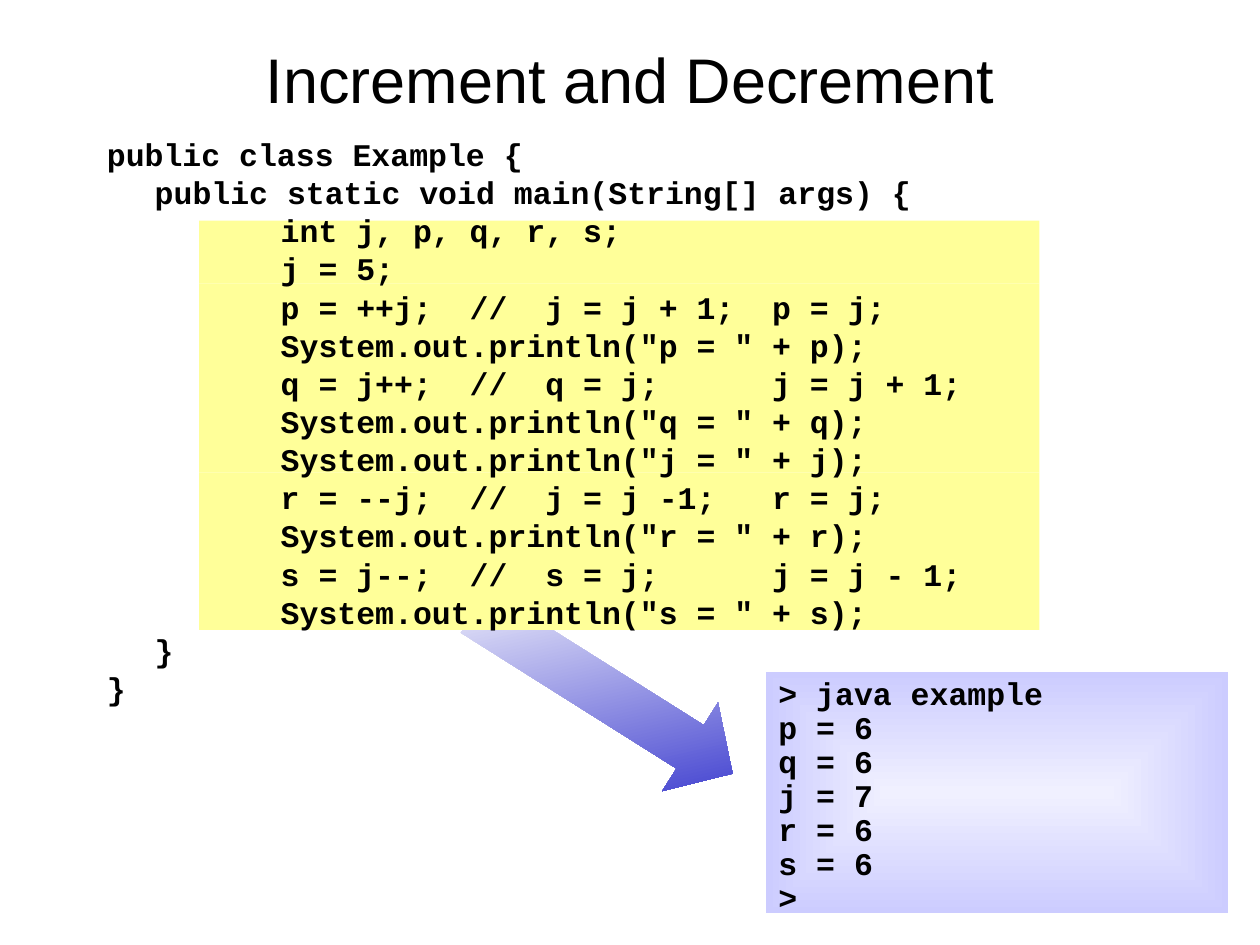
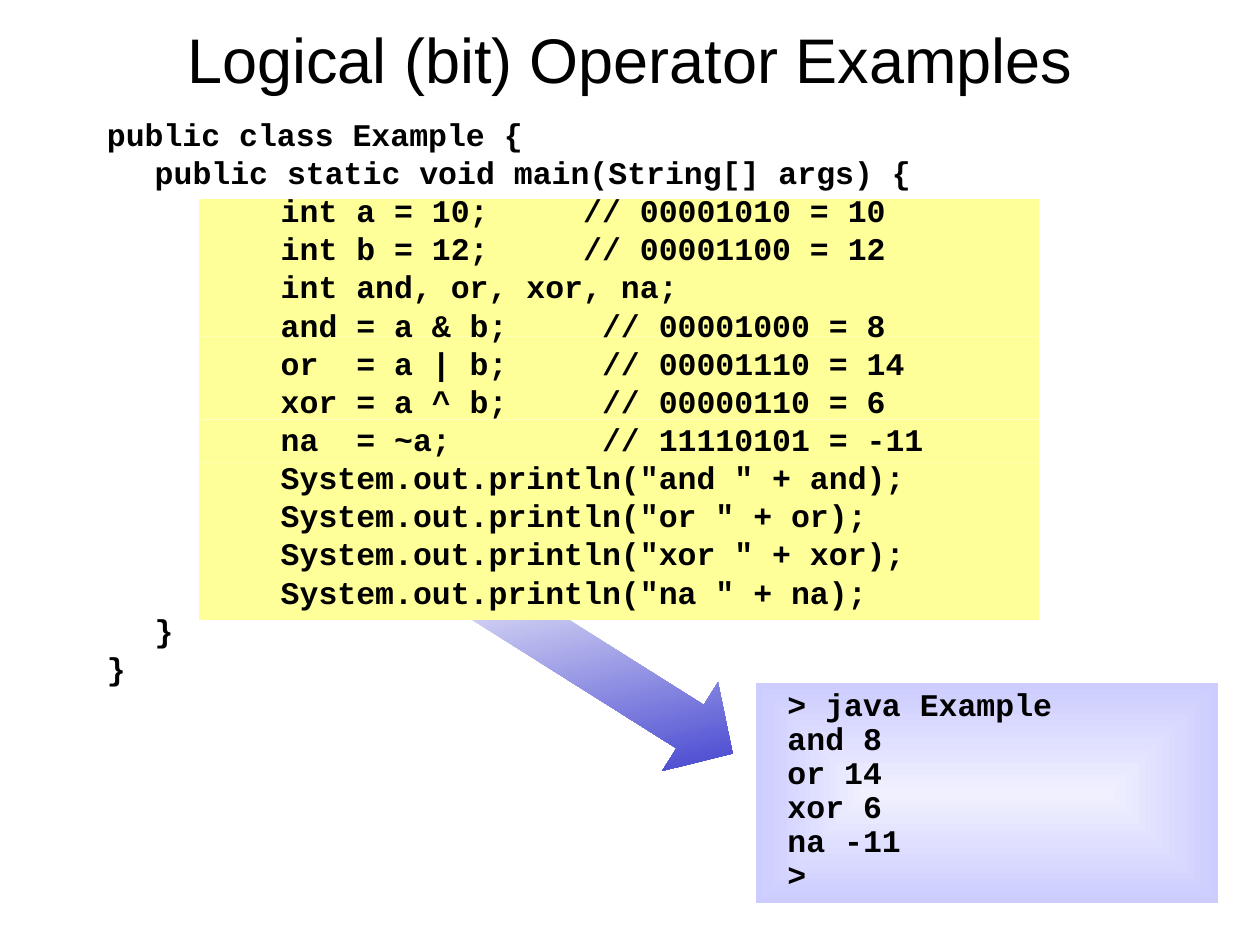
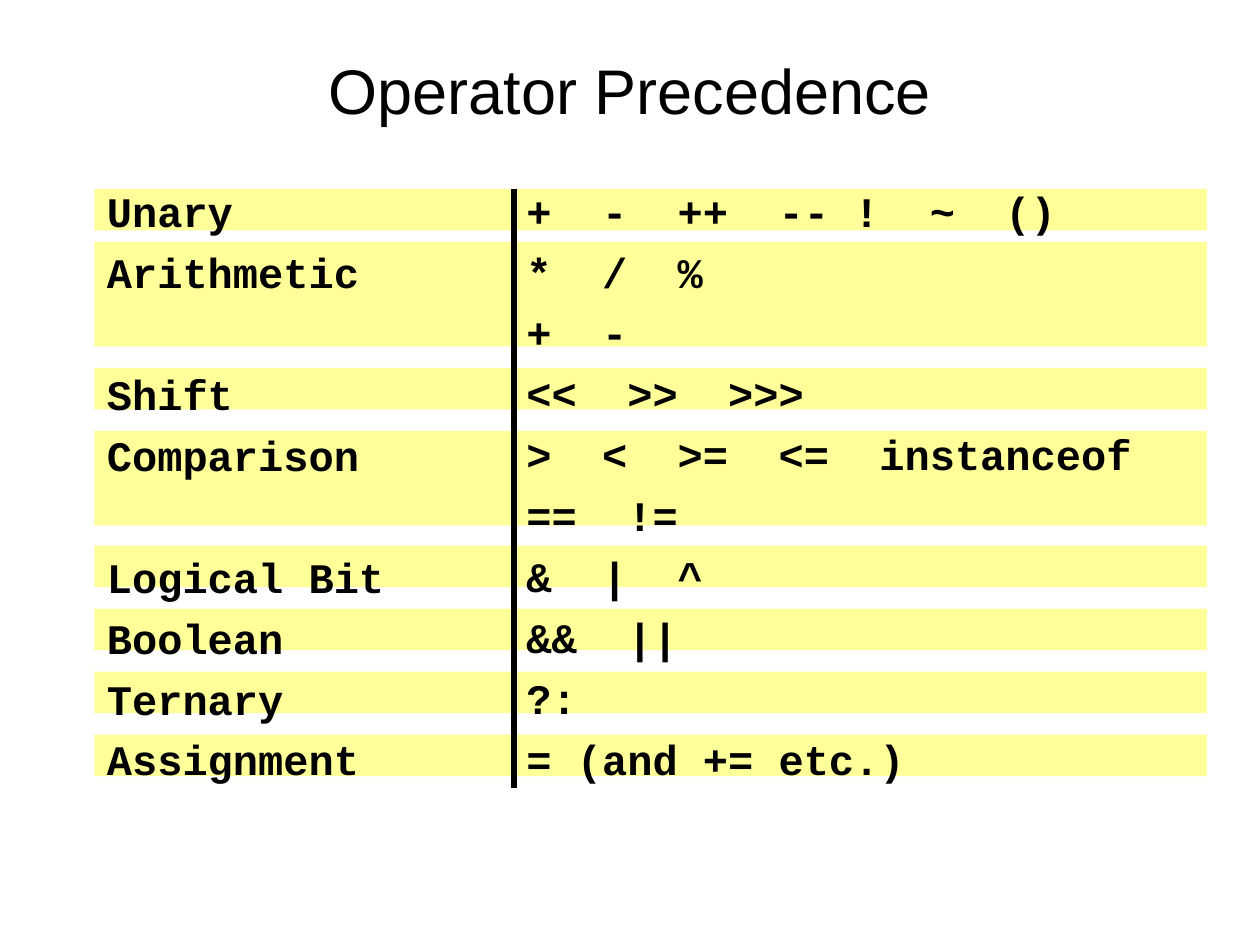
"""Build three slides on Java operators: two code examples and a precedence chart."""
from lxml import etree
from pptx import Presentation
from pptx.dml.color import RGBColor
from pptx.enum.shapes import MSO_CONNECTOR, MSO_SHAPE
from pptx.enum.text import MSO_ANCHOR, PP_ALIGN
from pptx.oxml import parse_xml
from pptx.oxml.ns import nsdecls, qn
from pptx.util import Inches, Pt

RECTANGLE = MSO_SHAPE.RECTANGLE
RIGHT_ARROW = MSO_SHAPE.RIGHT_ARROW
STRAIGHT = MSO_CONNECTOR.STRAIGHT
TOP, MIDDLE = MSO_ANCHOR.TOP, MSO_ANCHOR.MIDDLE
LEFT, CENTER = PP_ALIGN.LEFT, PP_ALIGN.CENTER

BLACK = RGBColor(0x00, 0x00, 0x00)
WHITE = RGBColor(0xFF, 0xFF, 0xFF)
BAND_YELLOW = RGBColor(0xFF, 0xFF, 0x99)
ARROW_BLUE = RGBColor(0x33, 0x33, 0xCC)
CONSOLE_CORE = RGBColor(0xF0, 0xF0, 0xFF)
CONSOLE_EDGE = RGBColor(0xCC, 0xCC, 0xFF)
TITLE_FONT, CODE_FONT = "Arial", "Courier New"
LINE_PITCH = 35
MARGINS = [0, 0.38, 1.38]

CENTRE_PATH = (
    f'<a:path {nsdecls("a")} path="rect">'
    '<a:fillToRect l="50000" t="50000" r="50000" b="50000"/></a:path>'
)


def add_block(slide, preset, box, *colours):
    block = slide.shapes.add_shape(preset, *map(Inches, box))
    block.shadow.inherit = False
    block.line.fill.background()
    if len(colours) == 1:
        block.fill.solid()
        block.fill.fore_color.rgb = colours[0]
    else:
        block.fill.gradient()
        block.fill.gradient_angle = 315
        for stop, colour in zip(block.fill.gradient_stops, colours):
            stop.color.rgb = colour
    return block


def write(frame, lines, size, spacing=1.0, font=CODE_FONT, align=LEFT, anchor=TOP):
    frame.word_wrap = True
    frame.vertical_anchor = anchor
    for number, (text, margin, before) in enumerate(lines):
        paragraph = frame.paragraphs[0] if number == 0 else frame.add_paragraph()
        paragraph.alignment = align
        paragraph.line_spacing = spacing
        paragraph.space_before = Pt(before)
        if margin:
            paragraph._p.get_or_add_pPr().set("marL", str(Inches(margin)))
        run = paragraph.add_run()
        run.text = text
        run.font.name = font
        run.font.size = Pt(size)
        run.font.bold = font == CODE_FONT
        run.font.color.rgb = BLACK


EXAMPLES = [
    {
        "title": "Increment and Decrement",
        "title_top": 0.33,
        "arrow_top": 5.08,
        "band_edges": [1.75, 2, 2.25, 2.92, 3.5, 3.75, 4.42, 5],
        "code_box": (0.75, 1.08, 7.67, 4.67),
        "statements": [
            "int j, p, q, r, s;",
            "j = 5;",
            "p = ++j;  //  j = j + 1;  p = j;",
            'System.out.println("p = " + p);',
            "q = j++;  //  q = j;      j = j + 1;",
            'System.out.println("q = " + q);',
            'System.out.println("j = " + j);',
            "r = --j;  //  j = j -1;   r = j;",
            'System.out.println("r = " + r);',
            "s = j--;  //  s = j;      j = j - 1;",
            'System.out.println("s = " + s);',
        ],
        "console_box": (6.08, 5.33, 3.67, 1.92),
        "console_inset": 0.1,
        "output": ["> java example", "p = 6", "q = 6", "j = 7", "r = 6", "s = 6", ">"],
    },
    {
        "title": "Logical (bit) Operator Examples",
        "title_top": 0.17,
        "arrow_top": 4.92,
        "band_edges": [1.58, 2.42, 2.67, 3, 3.33, 3.67, 4.92],
        "code_box": (0.75, 0.92, 6.83, 4.83),
        "statements": [
            "int a = 10;     // 00001010 = 10",
            "int b = 12;     // 00001100 = 12",
            "int and, or, xor, na;",
            "and = a & b;     // 00001000 = 8",
            "or  = a | b;     // 00001110 = 14",
            "xor = a ^ b;     // 00000110 = 6",
            "na  = ~a;        // 11110101 = -11",
            'System.out.println("and " + and);',
            'System.out.println("or " + or);',
            'System.out.println("xor " + xor);',
            'System.out.println("na " + na);',
        ],
        "console_box": (6, 5.42, 3.67, 1.75),
        "console_inset": 0.25,
        "output": ["> java Example", "and 8", "or 14", "xor 6", "na -11", ">"],
    },
]

PRECEDENCE = [
    ("Unary", ["+  -  ++  -- !  ~  ()"], 1.5, 0.33),
    ("Arithmetic", ["*  /  %", "+  -"], 1.92, 0.83),
    ("Shift", ["<<  >>  >>>"], 2.92, 0.33),
    ("Comparison", [">  <  >=  <=  instanceof", "==  !="], 3.42, 0.75),
    ("Logical Bit", ["&  |  ^"], 4.33, 0.33),
    ("Boolean", ["&&  ||"], 4.83, 0.33),
    ("Ternary", ["?:"], 5.33, 0.33),
    ("Assignment", ["= (and += etc.)"], 5.83, 0.33),
]

deck = Presentation()
deck.slide_width, deck.slide_height = Inches(10), Inches(7.5)
blank = deck.slide_layouts[6]
titles = [(example["title"], example["title_top"]) for example in EXAMPLES]
titles.append(("Operator Precedence", 0.42))
slides = []
for heading, top in titles:
    slide = deck.slides.add_slide(blank)
    title = slide.shapes.add_textbox(Inches(0.75), Inches(top), Inches(8.5), Inches(0.58))
    write(title.text_frame, [(heading, 0, 0)], 36, font=TITLE_FONT, align=CENTER, anchor=MIDDLE)
    slides.append(slide)

for slide, example in zip(slides, EXAMPLES):
    arrow = add_block(slide, RIGHT_ARROW, (3.58, example["arrow_top"], 2.42, 0.83), WHITE, ARROW_BLUE)
    arrow.rotation = 32.2
    arrow.adjustments[0], arrow.adjustments[1] = 0.49, 0.48

    edges = example["band_edges"]
    for top, bottom in zip(edges, edges[1:]):
        add_block(slide, RECTANGLE, (1.58, top, 6.67, bottom - top), BAND_YELLOW)

    program = [(0, "public class Example {"), (1, "public static void main(String[] args) {")]
    program += [(2, statement) for statement in example["statements"]]
    program += [(1, "}"), (0, "}")]
    code = slide.shapes.add_textbox(*map(Inches, example["code_box"]))
    write(code.text_frame, [(text, MARGINS[level], 4.5) for level, text in program], 18, 0.8)

    console = add_block(slide, RECTANGLE, example["console_box"], CONSOLE_CORE, CONSOLE_EDGE)
    gradient = console._element.spPr.find(qn("a:gradFill"))
    gradient.replace(gradient.find(qn("a:lin")), parse_xml(CENTRE_PATH))
    console.text_frame.margin_left = Inches(example["console_inset"])
    write(console.text_frame, [(text, 0, 0) for text in example["output"]], 18, 0.9)

chart = slides[-1]
labels, operators = [], []
extra_lines = 0
for label, operator_lines, top, height in PRECEDENCE:
    add_block(chart, RECTANGLE, (0.75, top, 8.83, height), BAND_YELLOW)
    labels.append((label, 0, 6 + extra_lines * LINE_PITCH))
    operators += [(line, 0, 6) for line in operator_lines]
    extra_lines = len(operator_lines) - 1

for left, width, column in [(4.08, 5.42, operators), (0.75, 3.08, labels)]:
    names = chart.shapes.add_textbox(Inches(left), Inches(1.42), Inches(width), Inches(5.42))
    write(names.text_frame, column, 24)

divider = chart.shapes.add_connector(STRAIGHT, Inches(4.08), Inches(1.5), Inches(4.08), Inches(6.25))
divider.line.color.rgb = BLACK
divider.line.width = Pt(3)
etree.SubElement(divider._element.spPr, qn("a:effectLst"))

deck.save("out.pptx")
